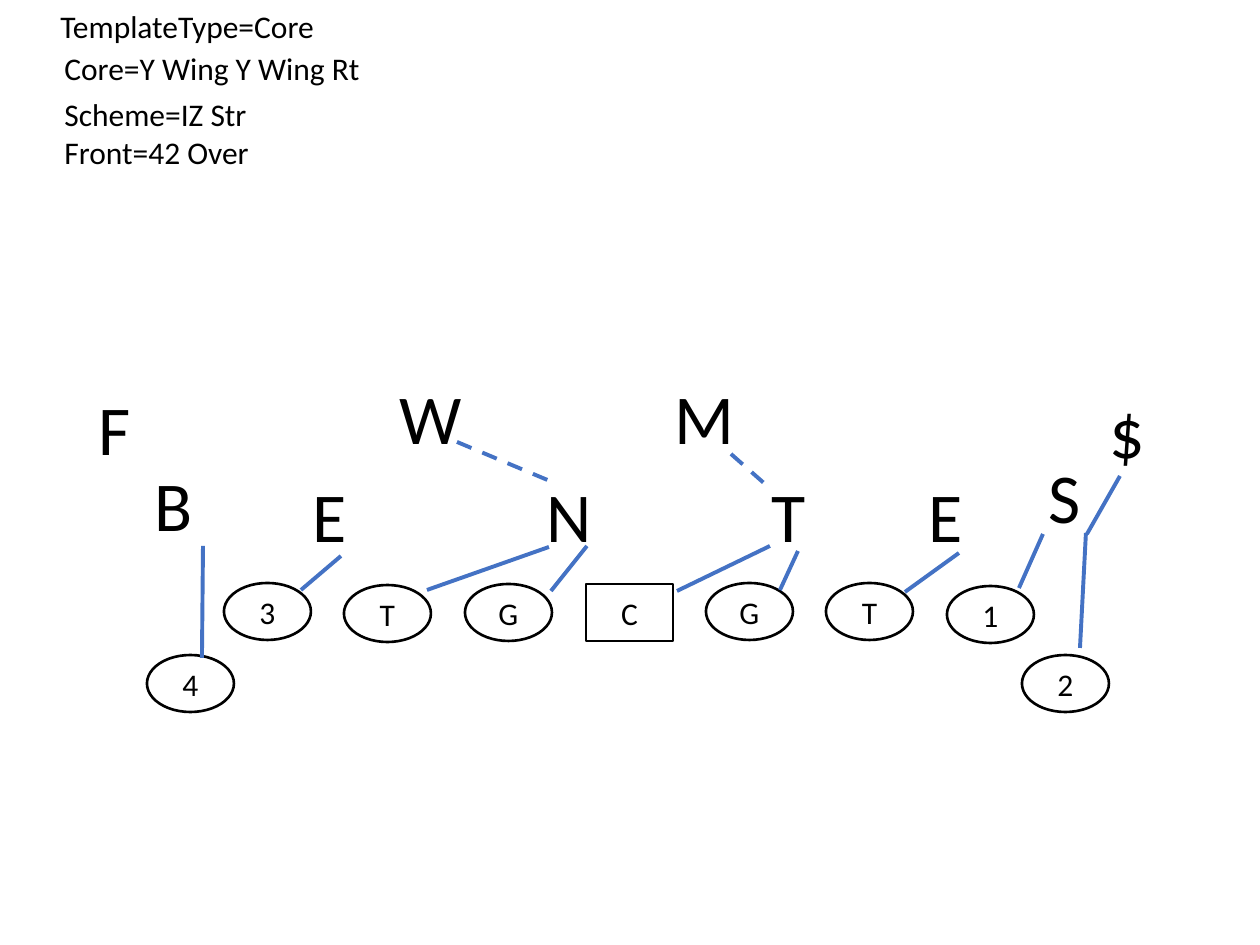
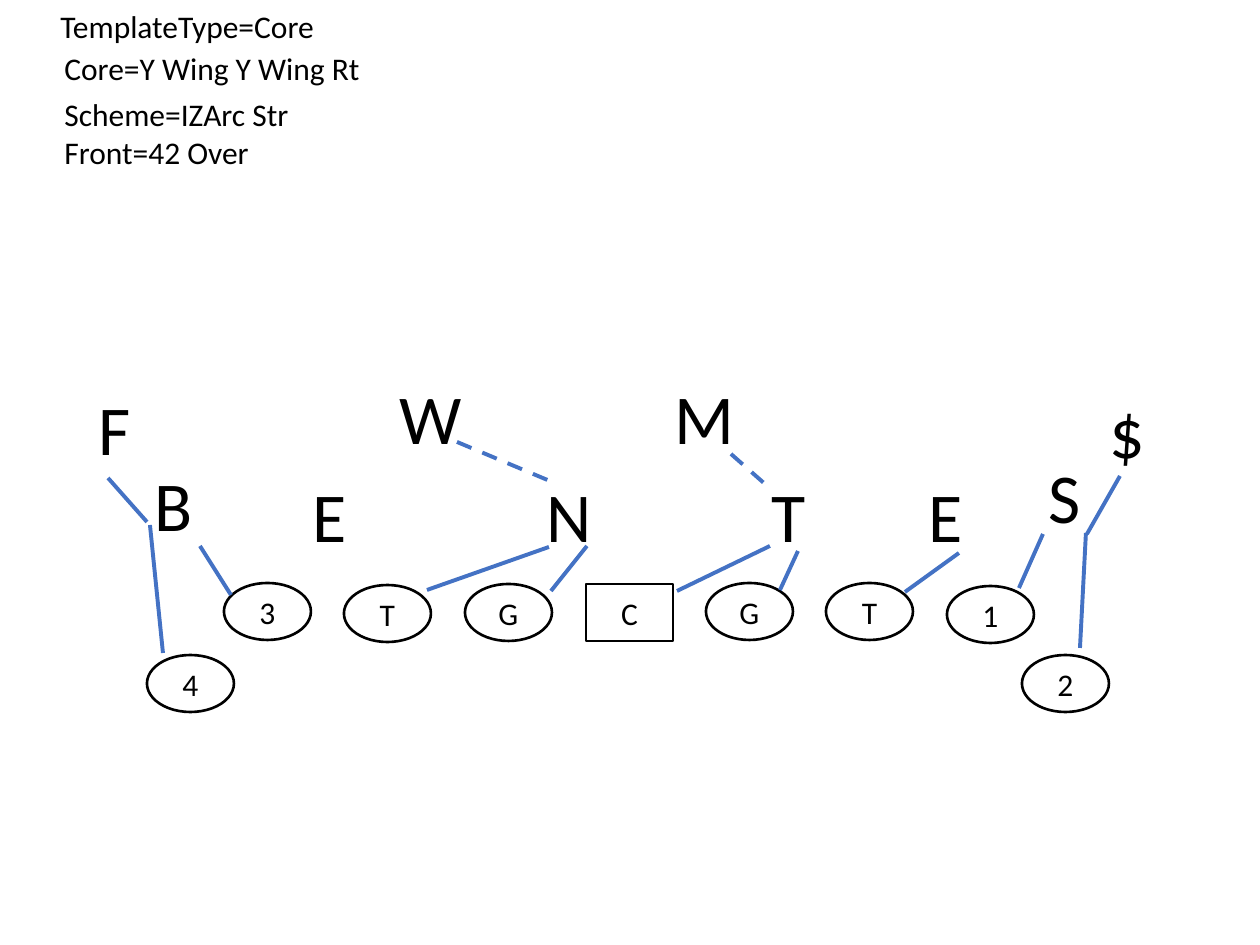
"""Two blocking diagrams: one formation and front, two schemes."""
from dataclasses import dataclass

from lxml import etree
from pptx import Presentation
from pptx import util as u
from pptx.dml.color import RGBColor
from pptx.enum import dml, shapes, text
from pptx.oxml.ns import qn

PX = 914400 // 126
FONT = "Calibri"
COLORS = {"ink": "000000", "paper": "FFFFFF", "block": "4472C4"}
SMALL, LARGE = 18, 40


@dataclass(frozen=True)
class Label:
    """Free text in a box: a caption or a defender."""
    words: str
    x: int
    y: int
    w: int
    h: int
    size: int = LARGE
    wrap: bool = False


@dataclass(frozen=True)
class Player:
    """An offensive player, drawn as an outlined symbol."""
    name: str
    x: int
    y: int


@dataclass(frozen=True)
class Block:
    """A line from a defender to the player who blocks him."""
    x1: int
    y1: int
    x2: int
    y2: int
    dashed: bool = False


@dataclass(frozen=True)
class Scheme:
    """What differs from slide to slide."""
    name: str
    caption_w: int
    blocks: tuple[Block, ...]


PLAYER_W, PLAYER_H = 87, 57
LINE_LEFT, LINE_PITCH = 224, 120.5
LINEMEN = [("3", 583), ("T", 585), ("G", 584), ("C", 584),
           ("G", 583), ("T", 583), ("1", 586)]
PLAYERS = [Player(name, round(LINE_LEFT + i * LINE_PITCH), y)
           for i, (name, y) in enumerate(LINEMEN)]
PLAYERS += [Player("4", 147, 655), Player("2", 1022, 655)]

FRONT_Y, BACKER_Y, LETTER_H = 466, 368, 97
DEFENDERS = [
    Label("E", 300, FRONT_Y, 60, LETTER_H),
    Label("N", 534, FRONT_Y, 71, LETTER_H),
    Label("T", 759, FRONT_Y, 60, LETTER_H),
    Label("E", 916, FRONT_Y, 60, LETTER_H),
    Label("W", 387, BACKER_Y, 88, LETTER_H),
    Label("M", 662, BACKER_Y, 88, LETTER_H),
    Label("B", 142, 455, 64, LETTER_H),
    Label("S", 1036, 447, 60, LETTER_H),
    Label("F", 86, 379, 44, LETTER_H, wrap=True),
    Label("$", 1097, 382, 49, LETTER_H, wrap=True),
]

CAPTION_X, CAPTION_H = 52, 50
CAPTIONS = [
    Label("TemplateType=Core", 48, 1, 282, CAPTION_H, SMALL),
    Label("Core=Y Wing Y Wing Rt", CAPTION_X, 43, 324, CAPTION_H, SMALL),
    Label("Front=42 Over", CAPTION_X, 127, 219, CAPTION_H, SMALL),
]

SHARED_BLOCKS = (
    Block(1043, 534, 1019, 588),
    Block(1086, 533, 1080, 648),
    Block(1120, 476, 1087, 534),
    Block(959, 553, 905, 592),
    Block(798, 551, 780, 590),
    Block(770, 546, 677, 591),
    Block(587, 546, 551, 591),
    Block(549, 547, 427, 590),
    Block(731, 454, 765, 484, dashed=True),
    Block(457, 442, 557, 484, dashed=True),
)
SCHEMES = [
    Scheme("IZ Str", 217, (Block(341, 556, 301, 590),
                           Block(203, 546, 202, 658))),
    Scheme("IZArc Str", 252, (Block(200, 546, 231, 595),
                              Block(150, 525, 163, 653),
                              Block(108, 478, 147, 522))),
]


def px(*lengths: float) -> list[u.Emu]:
    """Turn pixels into EMU."""
    return [u.Emu(round(n * PX)) for n in lengths]


def rgb(name: str) -> RGBColor:
    """Look up a named colour."""
    return RGBColor.from_string(COLORS[name])


def write(tf, words: str, size: int) -> None:
    """Put one paragraph in a text frame."""
    p = tf.paragraphs[0]
    p.text = words
    p.font.name, p.font.size = FONT, u.Pt(size)
    p.font.color.rgb = rgb("ink")


def draw_label(s, label: Label) -> None:
    """Draw a caption or a defender's letter."""
    sp = s.shapes.add_textbox(*px(label.x, label.y, label.w, label.h))
    tf = sp.text_frame
    tf.word_wrap = label.wrap
    tf.auto_size = text.MSO_AUTO_SIZE.SHAPE_TO_FIT_TEXT
    write(tf, label.words, label.size)


def draw_player(s, player: Player) -> None:
    """Draw an oval, or a box for the centre."""
    kind = shapes.MSO_SHAPE.RECTANGLE if player.name == "C" else shapes.MSO_SHAPE.OVAL
    sp = s.shapes.add_shape(kind, *px(player.x, player.y, PLAYER_W, PLAYER_H))
    sp.shadow.inherit = False
    sp.fill.solid()
    sp.fill.fore_color.rgb = rgb("paper")
    sp.line.color.rgb, sp.line.width = rgb("ink"), u.Pt(1.5)
    tf = sp.text_frame
    tf.vertical_anchor = text.MSO_ANCHOR.MIDDLE
    write(tf, player.name, SMALL)
    tf.paragraphs[0].alignment = text.PP_ALIGN.CENTER


def draw_block(s, block: Block) -> None:
    """Draw a blocking line without a shadow."""
    sp = s.shapes.add_connector(shapes.MSO_CONNECTOR.STRAIGHT,
                                *px(block.x1, block.y1, block.x2, block.y2))
    sp.line.color.rgb, sp.line.width = rgb("block"), u.Pt(2.25)
    if block.dashed:
        sp.line.dash_style = dml.MSO_LINE.DASH
    etree.SubElement(sp._element.spPr, qn("a:effectLst"))


def draw_scheme(prs, scheme: Scheme) -> None:
    """Add one slide with the formation and its blocks."""
    s = prs.slides.add_slide(prs.slide_layouts[6])
    caption = Label(f"Scheme={scheme.name}", CAPTION_X, 89,
                    scheme.caption_w, CAPTION_H, SMALL)
    for label in [*CAPTIONS, caption, *DEFENDERS]:
        draw_label(s, label)
    for player in PLAYERS:
        draw_player(s, player)
    for block in SHARED_BLOCKS + scheme.blocks:
        draw_block(s, block)


def main() -> None:
    """Build and save the slides."""
    prs = Presentation()
    prs.slide_width, prs.slide_height = u.Inches(10), u.Inches(7.5)
    for scheme in SCHEMES:
        draw_scheme(prs, scheme)
    prs.save("out.pptx")


main()
